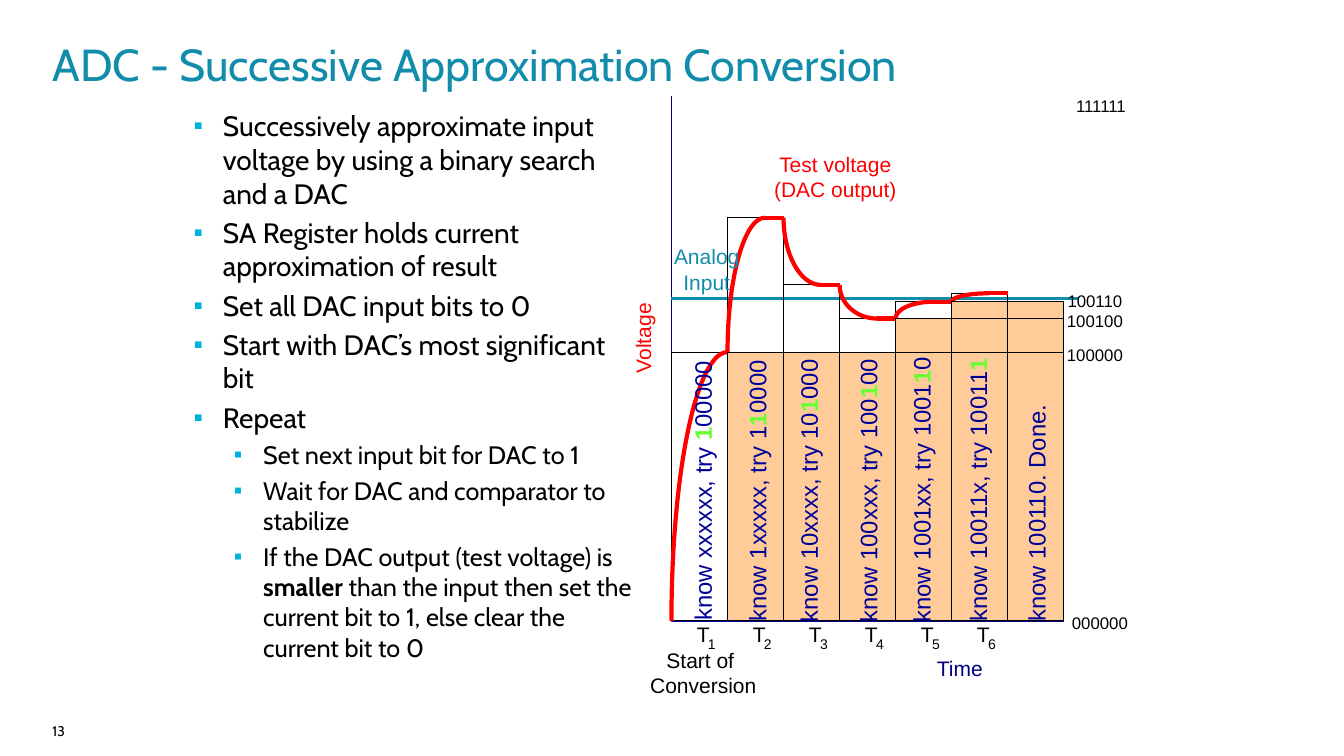
from dataclasses import dataclass
from itertools import pairwise

from lxml.etree import SubElement
from pptx import Presentation
from pptx.dml.color import RGBColor
from pptx.enum.shapes import MSO_CONNECTOR, MSO_SHAPE
from pptx.enum.text import PP_ALIGN
from pptx.oxml.ns import qn
from pptx.util import Inches, Pt


@dataclass(frozen=True)
class Theme:
    heading_font: str = "Cabin"
    chart_font: str = "Arial"
    teal: str = "128CAB"
    bullet: str = "00B1DB"
    black: str = "000000"
    red: str = "FF0000"
    navy: str = "000080"
    step_text: str = "000099"
    tried_bit: str = "66FF33"
    known_fill: str = "FFCC99"
    title_size: int = 32
    body_sizes: tuple = (20, 18)
    step_size: int = 17
    label_size: int = 15
    code_size: int = 12
    small_size: int = 10


@dataclass(frozen=True)
class Box:
    left: float
    top: float
    width: float
    height: float

    @property
    def bottom(self):
        return self.top + self.height

    def emu(self):
        return [Inches(v) for v in (self.left, self.top, self.width, self.height)]


THEME = Theme()
RESULT_BITS = "100110"
BIT_COUNT = len(RESULT_BITS)
KNOWN_CODES = [int(RESULT_BITS[:i].ljust(BIT_COUNT, "0"), 2) for i in range(BIT_COUNT + 1)]
TEST_CODES = [known + 2 ** (BIT_COUNT - 1 - i) for i, known in enumerate(KNOWN_CODES[:-1])]
BULLETS = [
    (0, ["Successively approximate input voltage by using a binary search and a DAC"]),
    (0, ["SA Register holds current approximation of result"]),
    (0, ["Set all DAC input bits to 0"]),
    (0, ["Start with DAC’s most significant bit"]),
    (0, ["Repeat"]),
    (1, ["Set next input bit for DAC to 1"]),
    (1, ["Wait for DAC and comparator to stabilize"]),
    (1, ["If the DAC output (test voltage) is ", "smaller",
         " than the input then set the current bit to 1, else clear the current bit to 0"]),
]
CODE_LABELS = [(0, 0.36, 0.02), (63, 0.37, 0.14), (32, 0.31, 0.03), (36, 0.31, 0.02), (38, 0.31, -0.01)]
STEP_TEXT_CENTERS = [(0.31, 3.96), (0.85, 3.96), (1.36, 3.96), (1.95, 3.96),
                     (2.48, 3.95), (3.04, 3.95), (3.62, 4.18)]


def rgb(color):
    return RGBColor.from_string(color)


def style_font(font, name, size, color):
    font.name, font.size = name, Pt(size)
    font.color.rgb = rgb(color)


def add_frame(slide, box, wrap):
    textbox = slide.shapes.add_textbox(*box.emu())
    frame = textbox.text_frame
    frame.margin_left = frame.margin_right = frame.margin_top = frame.margin_bottom = 0
    frame.word_wrap = wrap
    return textbox, frame


def add_label(slide, box, text, size, color, font=THEME.chart_font, align=PP_ALIGN.CENTER, wrap=False):
    label, frame = add_frame(slide, box, wrap)
    frame.text = text
    for paragraph in frame.paragraphs:
        paragraph.alignment = align
        style_font(paragraph.font, font, size, color)
    return label


def add_line(slide, x1, x2, y, color, width):
    line = slide.shapes.add_connector(MSO_CONNECTOR.STRAIGHT, Inches(x1), Inches(y), Inches(x2), Inches(y))
    line.line.color.rgb = rgb(color)
    line.line.width = Pt(width)
    SubElement(line._element.spPr, qn("a:effectLst"))


def add_outline(slide, points, color, width):
    start, *rest = [(Inches(x), Inches(y)) for x, y in points]
    builder = slide.shapes.build_freeform(*start)
    builder.add_line_segments(rest, close=False)
    outline = builder.convert_to_shape()
    outline.fill.background()
    outline.line.color.rgb = rgb(color)
    outline.line.width = Pt(width)
    outline.shadow.inherit = False
    return outline


def add_settling_curve(slide, left, right, start, end):
    bend = 0.45
    points = [(right, end), (left + bend * (right - left), end), (left, end + bend * (start - end)), (left, start)]
    curve = add_outline(slide, points, THEME.red, 3)
    segments = list(curve._element.iter(qn("a:lnTo")))
    bezier = SubElement(segments[0].getparent(), qn("a:cubicBezTo"))
    for segment in segments:
        bezier.append(segment[0])
        segment.getparent().remove(segment)


def add_bar(slide, box, fill=None):
    bar = slide.shapes.add_shape(MSO_SHAPE.RECTANGLE, *box.emu())
    if fill:
        bar.fill.solid()
        bar.fill.fore_color.rgb = rgb(fill)
    else:
        bar.fill.background()
    bar.line.color.rgb = rgb(THEME.black)
    bar.line.width = Pt(0.75)
    bar.shadow.inherit = False


def add_bullets(slide, box):
    _, frame = add_frame(slide, box, True)
    for index, (level, texts) in enumerate(BULLETS):
        paragraph = frame.add_paragraph() if index else frame.paragraphs[0]
        paragraph.level = level
        paragraph.space_before = Pt(4)
        properties = paragraph._p.get_or_add_pPr()
        properties.set("marL", str(Inches(0.29 + 0.4 * level)))
        properties.set("indent", str(Inches(-0.29)))
        SubElement(SubElement(properties, qn("a:buClr")), qn("a:srgbClr")).set("val", THEME.bullet)
        SubElement(properties, qn("a:buSzPct")).set("val", "95000")
        SubElement(properties, qn("a:buFont")).set("typeface", THEME.chart_font)
        SubElement(properties, qn("a:buChar")).set("char", "▪")
        style_font(paragraph.font, THEME.heading_font, THEME.body_sizes[level], THEME.black)
        for position, text in enumerate(texts):
            run = paragraph.add_run()
            run.text = text
            if position == 1:
                run.font.bold = True


def add_step_text(slide, center_x, center_y, step):
    length, height = 2.66, 0.29
    box = Box(center_x - length / 2, center_y - height / 2, length, height)
    label, frame = add_frame(slide, box, False)
    label.rotation = 270
    frame.paragraphs[0].alignment = PP_ALIGN.CENTER
    prefix = RESULT_BITS[:step]
    if step == BIT_COUNT:
        parts = [f"know {prefix}. Done."]
    else:
        unknown = BIT_COUNT - step
        parts = [f"know {prefix}{'x' * unknown}, try {prefix}", "1", "0" * (unknown - 1)]
    for position, part in enumerate(filter(None, parts)):
        run = frame.paragraphs[0].add_run()
        run.text = part
        tried = position == 1
        style_font(run.font, THEME.chart_font, THEME.step_size, THEME.tried_bit if tried else THEME.step_text)
        run.font.bold = tried


def add_conversion_chart(slide, box):
    column = box.width / (BIT_COUNT + 1)
    right = box.left + box.width

    def level(code):
        return box.bottom - code * box.height / 63

    def span(step, low, high):
        return Box(box.left + step * column, level(high), column, level(low) - level(high))

    def place(dx, dy, width, height):
        return Box(box.left + dx, box.top + dy, width, height)

    add_outline(slide, [(box.left, box.top + 0.04), (box.left, box.bottom), (right, box.bottom)], THEME.navy, 0.88)
    add_line(slide, box.left, right + 0.15, box.top + 2.05, THEME.teal, 2.25)

    for step, (known, test) in enumerate(zip(KNOWN_CODES, TEST_CODES)):
        left = box.left + step * column
        add_bar(slide, span(step, known, test))
        start = level(TEST_CODES[step - 1] if step else 0)
        rise = column * 2 / 3 if step else column
        if step:
            add_line(slide, left + rise, left + column, level(test), THEME.red, 3)
        add_settling_curve(slide, left, left + rise, start, level(test))
        add_label(slide, Box(left + 0.25, box.bottom + 0.01, 0.13, 0.25), "T", THEME.label_size, THEME.black)
        add_label(slide, Box(left + 0.36, box.bottom + 0.14, 0.08, 0.17), str(step + 1),
                  THEME.small_size, THEME.black)

    for text, spot, color in [
        ("Time", place(2.63, 5.59, 0.46, 0.25), THEME.navy),
        ("Start of \nConversion", place(-0.22, 5.51, 1.07, 0.5), THEME.black),
        ("Test voltage\v(DAC output)", place(1.01, 0.59, 1.23, 0.5), THEME.red),
        ("Analog\vInput", place(0.02, 1.51, 0.66, 0.5), THEME.teal),
    ]:
        add_label(slide, spot, text, THEME.label_size, color)
    voltage = add_label(slide, place(-0.64, 2.32, 0.71, 0.25), "Voltage", THEME.label_size, THEME.red)
    voltage.rotation = 270
    for code, dx, dy in CODE_LABELS:
        add_label(slide, Box(right + dx - 0.28, level(code) + dy - 0.1, 0.56, 0.2), f"{code:06b}",
                  THEME.code_size, THEME.black)

    for step, (dx, dy) in enumerate(STEP_TEXT_CENTERS):
        for low, high in pairwise(sorted(set(KNOWN_CODES[:step + 1]))):
            add_bar(slide, span(step, low, high), THEME.known_fill)
        add_step_text(slide, box.left + dx, box.top + dy, step)


def add_heading(slide, box):
    add_label(slide, box, "ADC - Successive Approximation Conversion", THEME.title_size, THEME.teal,
              THEME.heading_font, PP_ALIGN.LEFT, True)


def main():
    presentation = Presentation()
    presentation.slide_width, presentation.slide_height = Inches(13.33), Inches(7.5)
    slide = presentation.slides.add_slide(presentation.slide_layouts[6])
    add_label(slide, Box(0.52, 7.17, 1.43, 0.26), "13", THEME.small_size, THEME.black,
              THEME.heading_font, PP_ALIGN.LEFT, True)
    add_heading(slide, Box(0.52, 0.36, 12.21, 0.63))
    add_bullets(slide, Box(1.92, 1.08, 4.42, 6.42))
    add_conversion_chart(slide, Box(6.66, 0.91, 3.89, 5.25))
    presentation.save("out.pptx")


if __name__ == "__main__":
    main()
